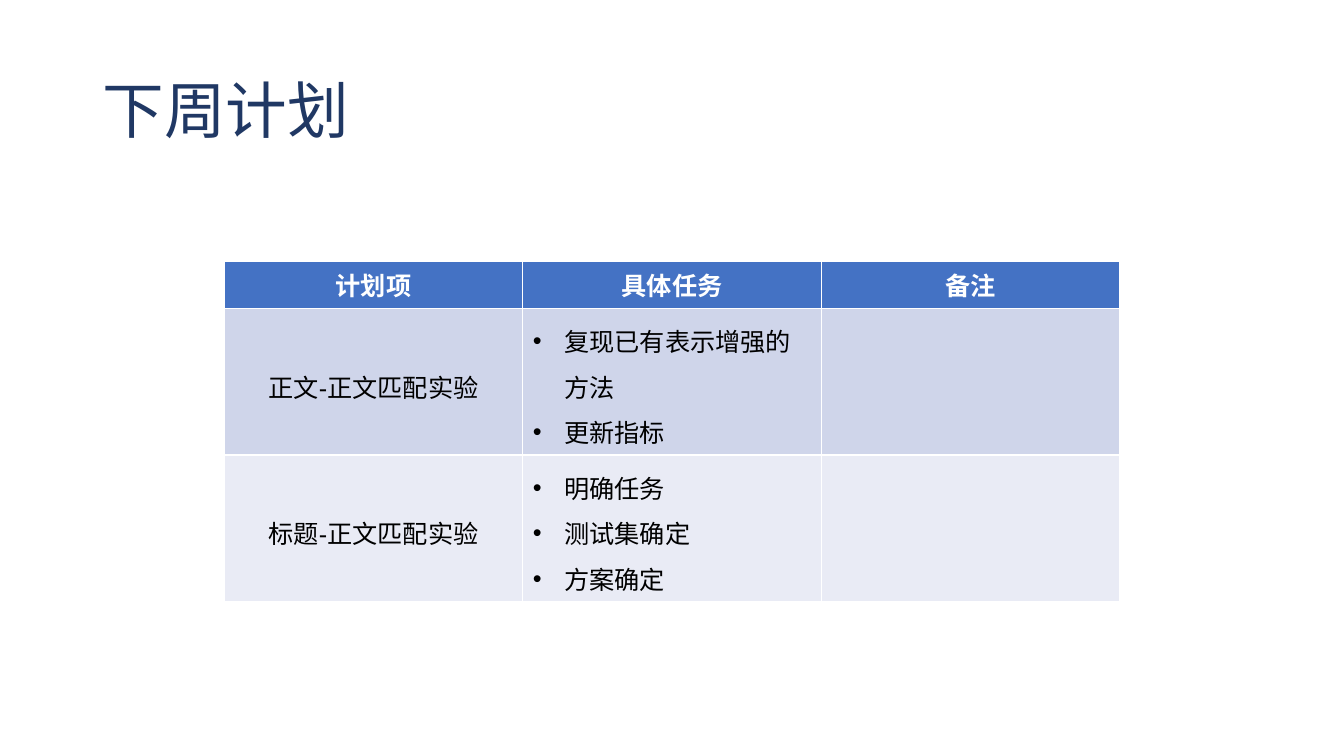
from dataclasses import dataclass

from lxml import etree
from pptx import Presentation
from pptx.dml.color import RGBColor
from pptx.enum.text import MSO_ANCHOR, PP_ALIGN
from pptx.oxml.ns import qn
from pptx.util import Pt

MIDDLE = MSO_ANCHOR.MIDDLE
CENTER, LEFT = PP_ALIGN.CENTER, PP_ALIGN.LEFT
TITLE_ONLY = 5


@dataclass(frozen=True)
class Theme:
    title_font: str = "Times New Roman"
    table_font: str = "Arial"
    title_size: int = 44
    table_size: int = 18
    title_color: str = "203864"
    header_color: str = "FFFFFF"
    body_color: str = "000000"
    row_fills: tuple = ("4472C4", "CFD5EA", "E9EBF5")


THEME = Theme()
BULLET_INDENT = Pt(22.5)
ROW_HEIGHTS = (33, 104.4, 104.4)
COLUMN_WIDTH = 213.3
PLAN = [
    [["计划项"], ["具体任务"], ["备注"]],
    [["正文-正文匹配实验"], ["复现已有表示增强的方法", "更新指标"], []],
    [["标题-正文匹配实验"], ["明确任务", "测试集确定", "方案确定"], []],
]


def set_font(paragraph, name, size, color, bold=False):
    values = {"name": name, "size": Pt(size), "bold": bold}
    for font in [run.font for run in paragraph.runs]:
        for attribute, value in values.items():
            setattr(font, attribute, value)
        font.color.rgb = RGBColor.from_string(color)


def add_bullet(paragraph):
    properties = paragraph._p.get_or_add_pPr()
    properties.set("marL", str(BULLET_INDENT))
    properties.set("indent", str(-BULLET_INDENT))
    etree.SubElement(properties, qn("a:buFont"), typeface="Arial")
    etree.SubElement(properties, qn("a:buChar"), char="•")


presentation = Presentation()
presentation.slide_width, presentation.slide_height = Pt(960), Pt(540)
slide = presentation.slides.add_slide(presentation.slide_layouts[TITLE_ONLY])

title = slide.shapes.title
title_box = {"left": 66, "top": 28.75, "width": 828, "height": 104.4}
for attribute, value in title_box.items():
    setattr(title, attribute, Pt(value))
title.text_frame.text = "下周计划"
title.text_frame.vertical_anchor = MIDDLE
title_paragraph = title.text_frame.paragraphs[0]
title_paragraph.alignment = LEFT
title_paragraph.line_spacing = 0.9
set_font(title_paragraph, THEME.title_font, THEME.title_size, THEME.title_color)

table = slide.shapes.add_table(
    len(PLAN), len(PLAN[0]), Pt(160.1), Pt(186.8),
    Pt(COLUMN_WIDTH * len(PLAN[0])), Pt(sum(ROW_HEIGHTS)),
).table
for column in table.columns:
    column.width = Pt(COLUMN_WIDTH)

for row_index, plan_row in enumerate(PLAN):
    is_header = row_index == 0
    color = THEME.header_color if is_header else THEME.body_color
    table.rows[row_index].height = Pt(ROW_HEIGHTS[row_index])
    for column_index, lines in enumerate(plan_row):
        cell = table.cell(row_index, column_index)
        cell.fill.solid()
        cell.fill.fore_color.rgb = RGBColor.from_string(THEME.row_fills[row_index])
        cell.vertical_anchor = MIDDLE
        cell.text = "\n".join(lines)
        is_task_list = column_index == 1 and not is_header
        for paragraph in cell.text_frame.paragraphs:
            paragraph.alignment = LEFT if is_task_list else CENTER
            if not is_header:
                paragraph.line_spacing = 1.25
            if is_task_list:
                add_bullet(paragraph)
            set_font(paragraph, THEME.table_font, THEME.table_size, color, is_header)

presentation.save("out.pptx")
